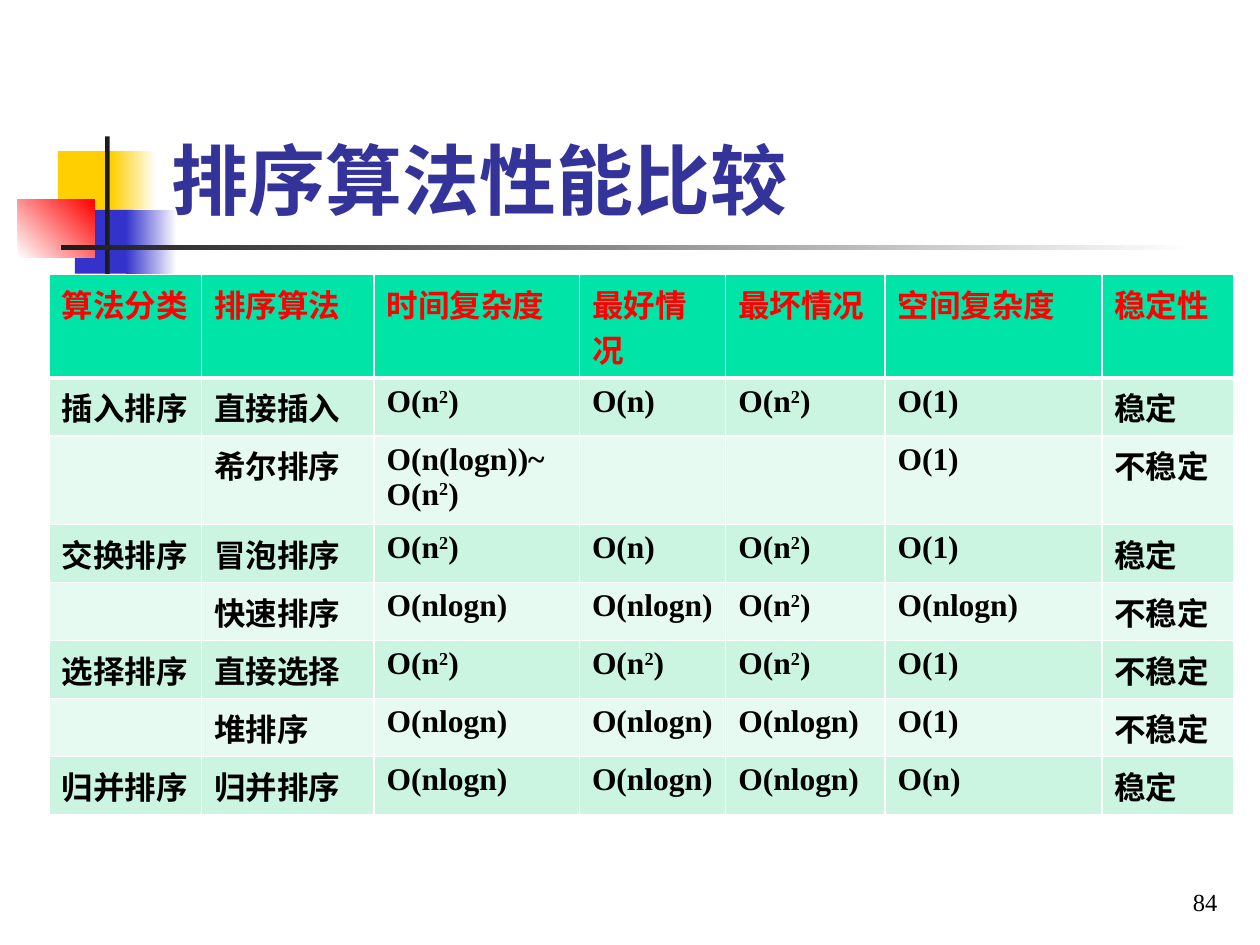
from dataclasses import dataclass
from typing import Any

from lxml import etree
from pptx import Presentation
from pptx import util as u
from pptx.dml.color import RGBColor
from pptx.enum import shapes, text
from pptx.oxml import ns

WHITE = RGBColor(0xFF, 0xFF, 0xFF)
BLACK = RGBColor(0x00, 0x00, 0x00)
CHARCOAL = RGBColor(0x1C, 0x1C, 0x1C)
YELLOW = RGBColor(0xFF, 0xCF, 0x01)
BLUE = RGBColor(0x33, 0x33, 0xCC)
NAVY = RGBColor(0x33, 0x33, 0x99)
RED = RGBColor(0xFF, 0x00, 0x00)
GREEN = RGBColor(0x00, 0xE4, 0xA8)
MINT = RGBColor(0xCC, 0xF5, 0xE1)
PALE_MINT = RGBColor(0xE7, 0xFA, 0xF1)

ORNAMENTS = [
    ((1.17, 3.05, 1.22, 1.32), (YELLOW,), 0),
    ((2.24, 3.05, 0.91, 1.32), (YELLOW, WHITE), 0),
    ((1.51, 4.23, 1.17, 1.29), (BLUE,), 0),
    ((2.54, 4.23, 1.02, 1.29), (BLUE, WHITE), 0),
    ((0.36, 4.02, 1.55, 1.17), (WHITE, RED), 45),
    ((2.12, 2.75, 0.09, 2.91), (CHARCOAL,), 0),
    ((1.23, 4.94, 22.86, 0.1), (CHARCOAL, WHITE), 0),
]
COLUMN_WIDTHS = [3.07, 3.48, 4.14, 2.95, 3.21, 4.37, 2.67]
ROW_HEIGHTS = [2.09, 1.17, 1.78] + [1.17] * 5
SQUARE = "O(n^2^)"
COMPARISON = [
    ["算法分类", "排序算法", "时间复杂度", "最好情况", "最坏情况", "空间复杂度", "稳定性"],
    ["插入排序", "直接插入", SQUARE, "O(n)", SQUARE, "O(1)", "稳定"],
    ["", "希尔排序", "O(n(logn))~O(n^2^)", "", "", "O(1)", "不稳定"],
    ["交换排序", "冒泡排序", SQUARE, "O(n)", SQUARE, "O(1)", "稳定"],
    ["", "快速排序", "O(nlogn)", "O(nlogn)", SQUARE, "O(nlogn)", "不稳定"],
    ["选择排序", "直接选择", SQUARE, SQUARE, SQUARE, "O(1)", "不稳定"],
    ["", "堆排序", "O(nlogn)", "O(nlogn)", "O(nlogn)", "O(1)", "不稳定"],
    ["归并排序", "归并排序", "O(nlogn)", "O(nlogn)", "O(nlogn)", "O(n)", "稳定"],
]


@dataclass
class SlideBuilder:
    """Draws styled elements on the current slide; ^…^ marks a superscript."""

    slide: Any
    font_name: str = "Times New Roman"

    def add_runs(self, paragraph, content, size, color, bold):
        for index, piece in enumerate(content.split("^")):
            if not piece:
                continue
            run = paragraph.add_run()
            run.text = piece
            run.font.name = self.font_name
            run.font.size = u.Pt(size)
            run.font.bold = bold
            run.font.color.rgb = color
            if index % 2:
                run.font._element.set("baseline", "30000")

    def add_block(self, box, colors, angle):
        shape = self.slide.shapes.add_shape(shapes.MSO_SHAPE.RECTANGLE, *map(u.Cm, box))
        shape.shadow.inherit = False
        shape.line.fill.background()
        if len(colors) == 1:
            shape.fill.solid()
            shape.fill.fore_color.rgb = colors[0]
            return
        shape.fill.gradient()
        shape.fill.gradient_angle = angle
        for stop, color in zip(shape.fill.gradient_stops, colors):
            stop.color.rgb = color

    def add_text(self, box, content, size, color, bold=False, align=text.PP_ALIGN.LEFT):
        frame = self.slide.shapes.add_textbox(*map(u.Cm, box)).text_frame
        frame.word_wrap = True
        frame.vertical_anchor = text.MSO_ANCHOR.BOTTOM
        paragraph = frame.paragraphs[0]
        paragraph.alignment = align
        self.add_runs(paragraph, content, size, color, bold)

    def add_border(self, cell, side, points):
        properties = cell._tc.get_or_add_tcPr()
        line = etree.SubElement(properties, ns.qn(f"a:ln{side}"), w=str(u.Pt(points)))
        fill = etree.SubElement(line, ns.qn("a:solidFill"))
        etree.SubElement(fill, ns.qn("a:srgbClr"), val=str(WHITE))

    def add_table(self, left, top, rows, widths, heights):
        box = map(u.Cm, (left, top, sum(widths), sum(heights)))
        table = self.slide.shapes.add_table(len(rows), len(widths), *box).table
        for column, width in zip(table.columns, widths):
            column.width = u.Cm(width)
        for index, (row, height) in enumerate(zip(table.rows, heights)):
            row.height = u.Cm(height)
            fill = GREEN if index == 0 else (PALE_MINT, MINT)[index % 2]
            color = RED if index == 0 else BLACK
            for cell, content in zip(row.cells, rows[index]):
                self.add_border(cell, "L", 1)
                self.add_border(cell, "R", 1)
                self.add_border(cell, "T", 3 if index == 1 else 1)
                self.add_border(cell, "B", 3 if index == 0 else 1)
                cell.fill.solid()
                cell.fill.fore_color.rgb = fill
                self.add_runs(cell.text_frame.paragraphs[0], content, 18, color, True)


def main():
    presentation = Presentation()
    presentation.slide_width = u.Cm(25.4)
    presentation.slide_height = u.Cm(19.05)
    builder = SlideBuilder(presentation.slides.add_slide(presentation.slide_layouts[6]))
    for box, colors, angle in ORNAMENTS:
        builder.add_block(box, colors, angle)
    builder.add_text((3.2, 2.31, 21.64, 2.34), "排序算法性能比较", 44, NAVY, bold=True)
    builder.add_table(0.99, 5.53, COMPARISON, COLUMN_WIDTHS, ROW_HEIGHTS)
    builder.add_text((19.51, 17.32, 5.28, 1.27), "84", 14, BLACK, align=text.PP_ALIGN.RIGHT)
    presentation.save("out.pptx")


if __name__ == "__main__":
    main()
